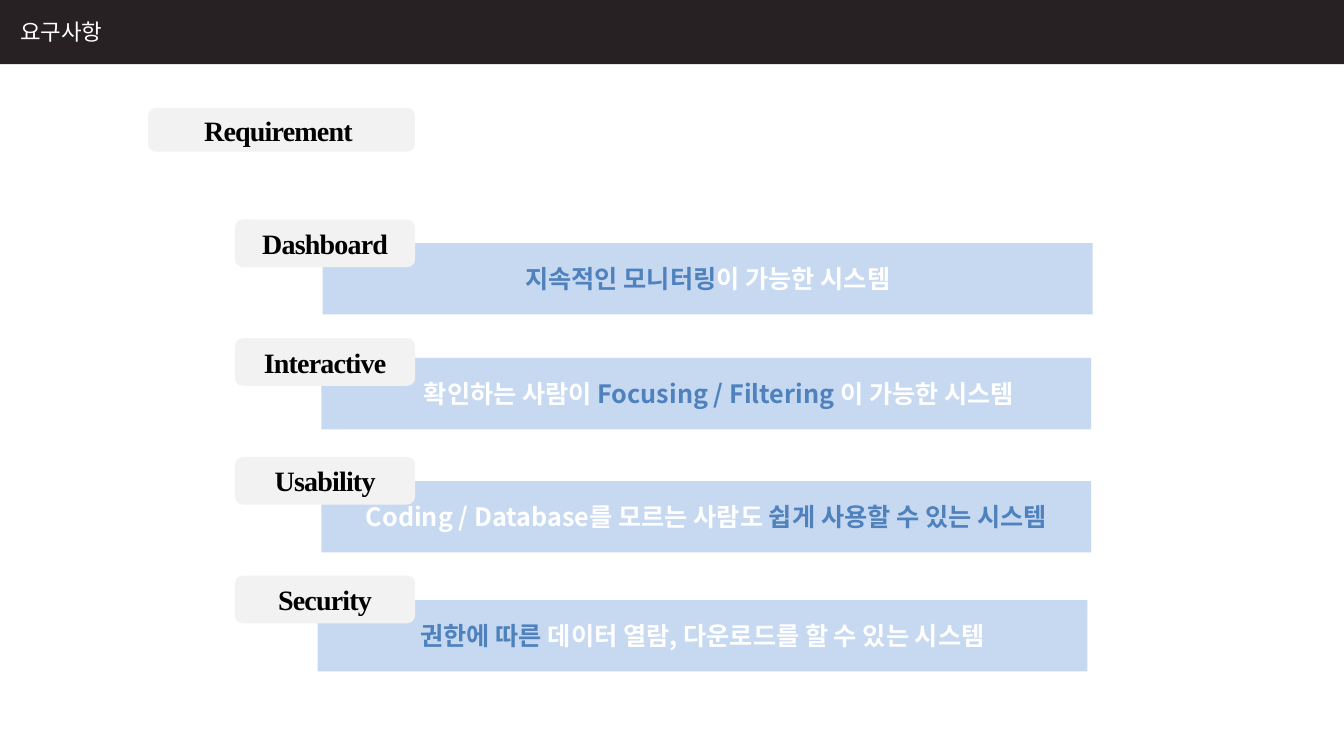
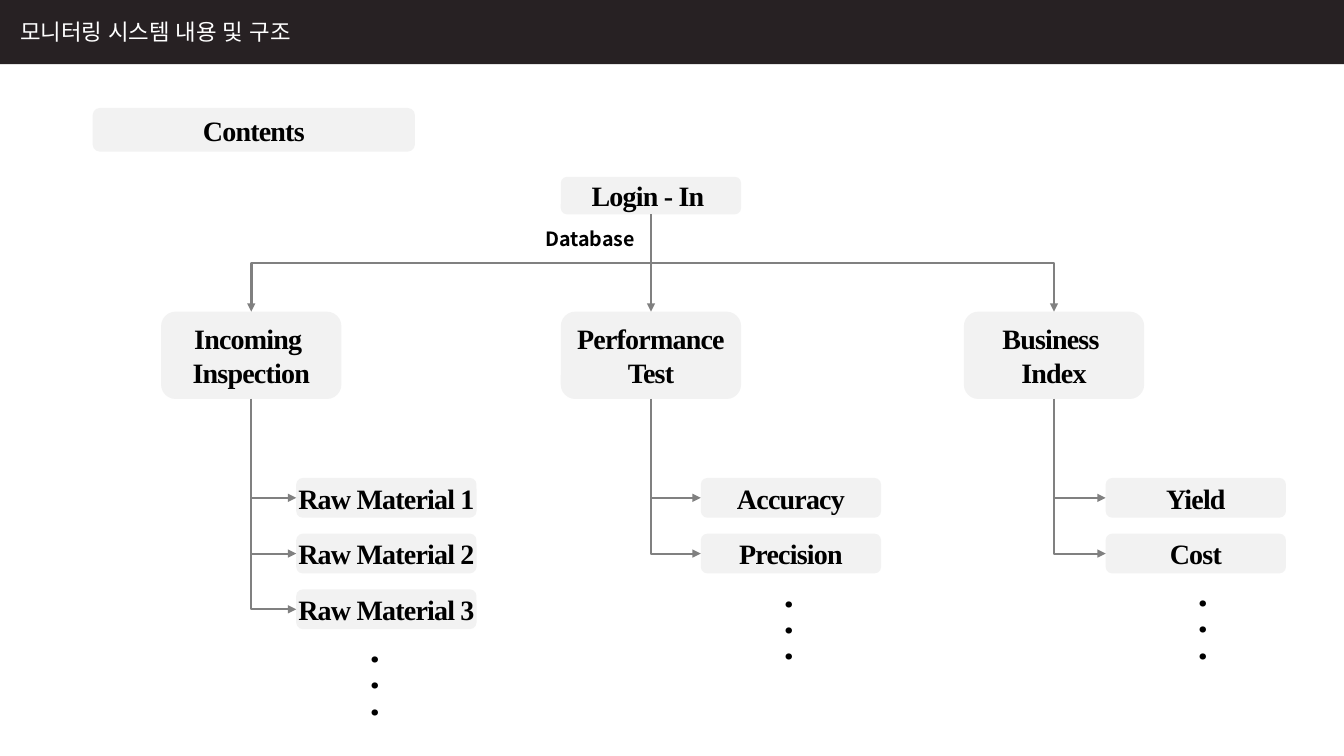
from dataclasses import dataclass

from lxml import etree
from pptx import Presentation
from pptx.dml.color import RGBColor
from pptx.enum.shapes import MSO_CONNECTOR, MSO_SHAPE
from pptx.enum.text import MSO_ANCHOR, MSO_AUTO_SIZE, PP_ALIGN
from pptx.oxml.ns import qn
from pptx.util import Pt

RECTANGLE, ROUNDED = MSO_SHAPE.RECTANGLE, MSO_SHAPE.ROUNDED_RECTANGLE
STRAIGHT, ELBOW = MSO_CONNECTOR.STRAIGHT, MSO_CONNECTOR.ELBOW
LEFT, CENTER = PP_ALIGN.LEFT, PP_ALIGN.CENTER
TOP, MIDDLE = MSO_ANCHOR.TOP, MSO_ANCHOR.MIDDLE
NO_AUTOFIT = MSO_AUTO_SIZE.NONE

WHITE = RGBColor(0xFF, 0xFF, 0xFF)
BLACK = RGBColor(0x00, 0x00, 0x00)
BAND = RGBColor(0x27, 0x21, 0x23)
LABEL_FILL = RGBColor(0xF2, 0xF2, 0xF2)
BAR_FILL = RGBColor(0xC6, 0xD9, 0xF1)
ACCENT = RGBColor(0x4F, 0x81, 0xBD)
LINE = RGBColor(0x80, 0x80, 0x80)

TITLE_FONT, LABEL_FONT, KOREAN_FONT = "Arial", "Times New Roman", "Noto Sans CJK KR"
TITLE_ONLY = 5
SLIDE_WIDTH, SLIDE_HEIGHT = 960, 540
LABEL_WIDTH = 128.8
HEADING_RIGHT, HEADING_TOP, HEADING_HEIGHT = 296.4, 77.1, 31.2
TAG_LEFT, TAG_TOP, TAG_STEP, TAG_HEIGHT = 167.8, 156.8, 84.8, 34
BAR_WIDTH, BAR_HEIGHT = 550, 51
LOGIN_TOP, LOGIN_HEIGHT = 126.3, 26.8
BRANCH_TOP, BRANCH_HEIGHT = 222.6, 62.4
LEAF_TOP, LEAF_STEP, LEAF_HEIGHT = 341.4, 39.8, 28.4
DOTS_WIDTH, DOTS_HEIGHT = 67.7, 36


@dataclass(frozen=True)
class Box:
    """A rectangle, in points."""
    left: float
    top: float
    width: float
    height: float

    @property
    def middle(self) -> float:
        """Horizontal centre."""
        return self.left + self.width / 2

    @property
    def bottom(self) -> float:
        """Lower edge."""
        return self.top + self.height

    def lengths(self) -> tuple:
        """Left, top, width and height as lengths."""
        return Pt(self.left), Pt(self.top), Pt(self.width), Pt(self.height)


@dataclass(frozen=True)
class Style:
    """Character formatting of a run."""
    font: str
    size: float
    color: RGBColor
    bold: bool = True
    spacing: float = 0


@dataclass(frozen=True)
class Requirement:
    """A tag and the bar that explains it."""
    tag: str
    left: float
    top: float
    runs: tuple
    indent: float = 0


@dataclass(frozen=True)
class Branch:
    """A branch of the tree, its leaves and the dots below them."""
    lines: tuple
    left: float
    leaf_left: float
    leaves: tuple
    dots_left: float
    dots_top: float


TITLE_STYLE = Style(TITLE_FONT, 16, WHITE, bold=False)
LABEL_STYLE = Style(LABEL_FONT, 20, BLACK, spacing=-0.6)
PLAIN_STYLE = Style(KOREAN_FONT, 18, WHITE)
ACCENT_STYLE = Style(KOREAN_FONT, 18, ACCENT)
NOTE_STYLE = Style(KOREAN_FONT, 14, BLACK)
DOTS_STYLE = Style(KOREAN_FONT, 24, BLACK, spacing=2.7)

REQUIREMENTS = (
    Requirement("Dashboard", 230.5, 173.6, (
        ("지속적인 모니터링", ACCENT_STYLE), ("이 가능한 시스템", PLAIN_STYLE))),
    Requirement("Interactive", 229.5, 255.7, (
        ("확인하는 사람이 ", PLAIN_STYLE), ("Focusing / Filtering ", ACCENT_STYLE),
        ("이 가능한 시스템", PLAIN_STYLE)), indent=18),
    Requirement("Usability", 229.5, 343.6, (
        ("Coding / Database를 모르는 사람도 ", PLAIN_STYLE),
        ("쉽게 사용할 수 있는 시스템", ACCENT_STYLE))),
    Requirement("Security", 226.8, 428.6, (
        ("권한에 따른 ", ACCENT_STYLE),
        ("데이터 열람, 다운로드를 할 수 있는 시스템", PLAIN_STYLE))),
)

BRANCHES = (
    Branch(("Incoming ", "Inspection"), 115.1, 211.6,
           ("Raw Material 1", "Raw Material 2", "Raw Material 3"), 241.9, 476.6),
    Branch(("Performance", "Test"), 400.6, 500.6,
           ("Accuracy", "Precision"), 537.8, 437),
    Branch(("Business ", "Index"), 688.5, 789.8,
           ("Yield", "Cost"), 833, 436.6),
)


def add_run(paragraph, text: str, style: Style) -> None:
    """Append one formatted run to a paragraph."""
    run = paragraph.add_run()
    run.text = text
    run.font.name = style.font
    run.font.size = Pt(style.size)
    run.font.bold = style.bold
    run.font.color.rgb = style.color
    properties = run.font._element
    etree.SubElement(properties, qn("a:ea")).set("typeface", style.font)
    if style.spacing:
        properties.set("spc", str(round(style.spacing * 100)))


def add_block(slide, kind, box: Box, fill: RGBColor):
    """Add a filled shape without outline or shadow."""
    shape = slide.shapes.add_shape(kind, *box.lengths())
    shape.shadow.inherit = False
    shape.fill.solid()
    shape.fill.fore_color.rgb = fill
    shape.line.fill.background()
    shape.text_frame.vertical_anchor = MIDDLE
    return shape


def add_label(slide, box: Box, *lines: str) -> None:
    """Add a grey rounded label with one paragraph per line."""
    frame = add_block(slide, ROUNDED, box, LABEL_FILL).text_frame
    frame.word_wrap = False
    for index, line in enumerate(lines):
        paragraph = frame.add_paragraph() if index else frame.paragraphs[0]
        paragraph.alignment = CENTER
        add_run(paragraph, line, LABEL_STYLE)


def add_bar(slide, requirement: Requirement) -> None:
    """Add the blue bar of a requirement."""
    box = Box(requirement.left, requirement.top, BAR_WIDTH, BAR_HEIGHT)
    frame = add_block(slide, RECTANGLE, box, BAR_FILL).text_frame
    frame.word_wrap = True
    paragraph = frame.paragraphs[0]
    paragraph.alignment = CENTER
    if requirement.indent:
        properties = paragraph._p.get_or_add_pPr()
        properties.set("marL", str(Pt(requirement.indent)))
    for text, style in requirement.runs:
        add_run(paragraph, text, style)


def add_note(slide, box: Box, text: str, style: Style, rotation: float = 0) -> None:
    """Add a plain text box."""
    text_box = slide.shapes.add_textbox(*box.lengths())
    text_box.rotation = rotation
    text_box.text_frame.word_wrap = True
    add_run(text_box.text_frame.paragraphs[0], text, style)


def add_arrow(slide, kind, box: Box, width: float):
    """Add a grey arrow across a box and return its shape properties."""
    connector = slide.shapes.add_connector(
        kind, Pt(box.left), Pt(box.top), Pt(box.left + box.width), Pt(box.bottom))
    connector.line.color.rgb = LINE
    connector.line.width = Pt(width)
    properties = connector.element.spPr
    etree.SubElement(properties.find(qn("a:ln")), qn("a:tailEnd")).set("type", "triangle")
    etree.SubElement(properties, qn("a:effectLst"))
    return properties


def add_elbow(slide, start: tuple, end: tuple, preset: str, width: float) -> None:
    """Add a bent arrow that leaves its start downwards."""
    across, down = end[0] - start[0], end[1] - start[1]
    middle_x, middle_y = start[0] + across / 2, start[1] + down / 2
    box = Box(middle_x - down / 2, middle_y - abs(across) / 2, down, abs(across))
    properties = add_arrow(slide, ELBOW, box, width)
    properties.find(qn("a:prstGeom")).set("prst", preset)
    transform = properties.find(qn("a:xfrm"))
    transform.set("rot", str((270 if across > 0 else 90) * 60000))
    if across > 0:
        transform.set("flipH", "1")


def add_slide(presentation, title_text: str, heading: str, heading_width: float):
    """Add a slide with its dark band, title and heading label."""
    slide = presentation.slides.add_slide(presentation.slide_layouts[TITLE_ONLY])
    band = add_block(slide, RECTANGLE, Box(0, 0, SLIDE_WIDTH, 45.8), BAND)
    title = slide.shapes.title
    title.element.addprevious(band.element)
    title.left, title.top, title.width, title.height = Box(7.2, 9.4, 600, 26.6).lengths()
    frame = title.text_frame
    frame.auto_size = NO_AUTOFIT
    frame.vertical_anchor = TOP
    frame.paragraphs[0].alignment = LEFT
    add_run(frame.paragraphs[0], title_text, TITLE_STYLE)
    left = HEADING_RIGHT - heading_width
    add_label(slide, Box(left, HEADING_TOP, heading_width, HEADING_HEIGHT), heading)
    return slide


def build_requirements(presentation) -> None:
    """Build the slide of requirements."""
    slide = add_slide(presentation, "요구사항", "Requirement ", 190.6)
    for index, requirement in enumerate(REQUIREMENTS):
        add_bar(slide, requirement)
        top = TAG_TOP + index * TAG_STEP
        add_label(slide, Box(TAG_LEFT, top, LABEL_WIDTH, TAG_HEIGHT), requirement.tag)


def add_branch(slide, branch: Branch, login: Box) -> None:
    """Add a branch, its leaves, its dots and the arrows that join them."""
    box = Box(branch.left, BRANCH_TOP, LABEL_WIDTH, BRANCH_HEIGHT)
    add_label(slide, box, *branch.lines)
    if box.left == login.left:
        add_arrow(slide, STRAIGHT,
                  Box(login.middle, login.bottom, 0, box.top - login.bottom), 1.75)
    else:
        add_elbow(slide, (login.middle, login.bottom), (box.middle, box.top),
                  "bentConnector3", 1.75)
    for index, text in enumerate(branch.leaves):
        leaf = Box(branch.leaf_left, LEAF_TOP + index * LEAF_STEP, LABEL_WIDTH, LEAF_HEIGHT)
        add_label(slide, leaf, text)
        add_elbow(slide, (box.middle, box.bottom),
                  (leaf.left, leaf.top + leaf.height / 2), "bentConnector2", 1.5)
    dots = Box(branch.dots_left, branch.dots_top, DOTS_WIDTH, DOTS_HEIGHT)
    add_note(slide, dots, ". . .", DOTS_STYLE, rotation=90)


def build_contents(presentation) -> None:
    """Build the slide with the tree of contents."""
    slide = add_slide(presentation, "모니터링 시스템 내용 및 구조", "Contents", 230.2)
    login = Box(BRANCHES[1].left, LOGIN_TOP, LABEL_WIDTH, LOGIN_HEIGHT)
    add_label(slide, login, "Login - In ")
    for branch in BRANCHES:
        add_branch(slide, branch, login)
    add_note(slide, Box(382.3, 158.4, 82, 24.5), "Database", NOTE_STYLE)


def main() -> None:
    """Build and save the presentation."""
    presentation = Presentation()
    presentation.slide_width, presentation.slide_height = Pt(SLIDE_WIDTH), Pt(SLIDE_HEIGHT)
    build_requirements(presentation)
    build_contents(presentation)
    presentation.save("out.pptx")


main()
